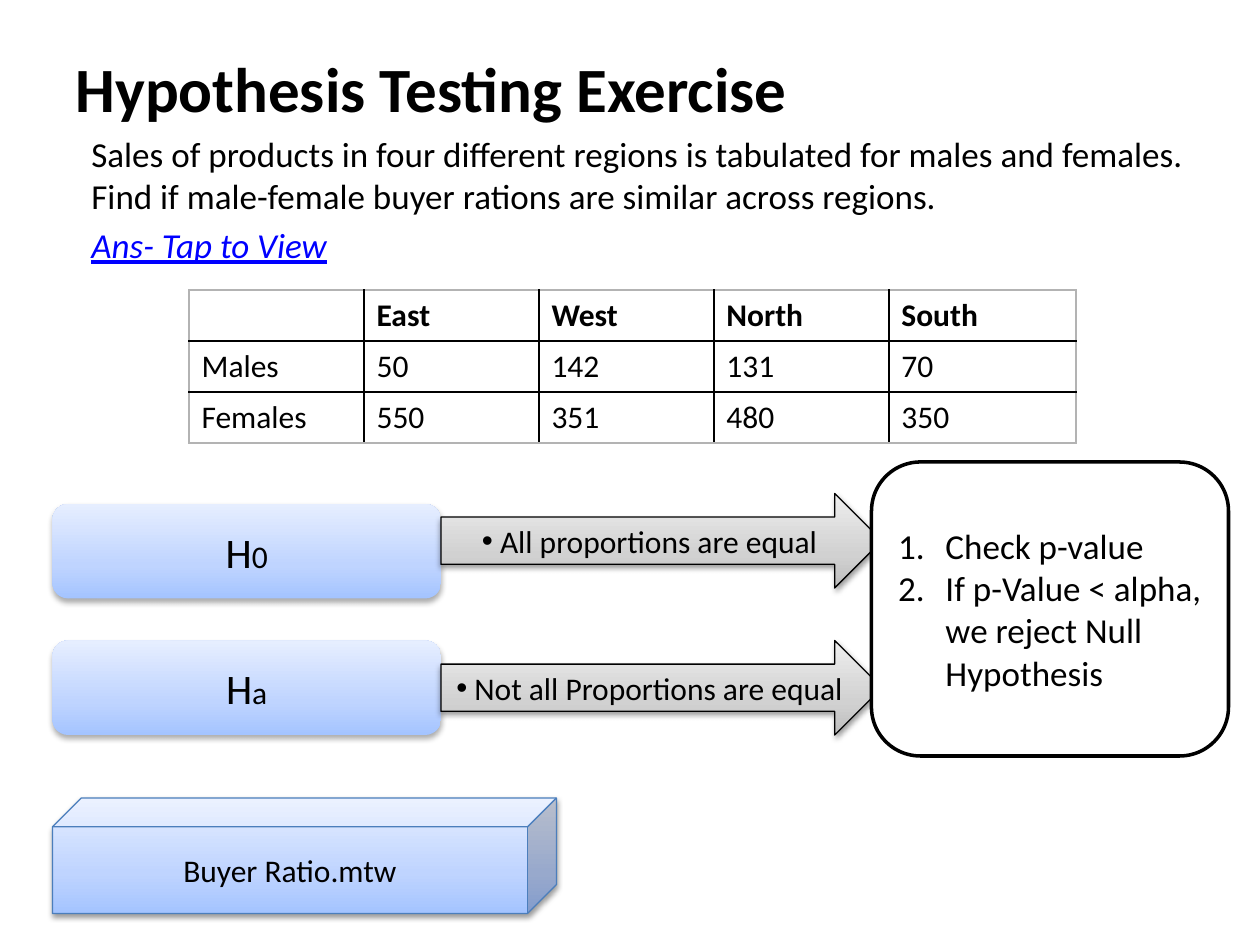
from dataclasses import dataclass

from lxml import etree
from pptx import Presentation
from pptx import util as u
from pptx.dml import color
from pptx.enum import shapes, text
from pptx.oxml import ns

KIND = shapes.MSO_SHAPE
ALIGN = text.PP_ALIGN
ANCHOR = text.MSO_ANCHOR


@dataclass(frozen=True)
class Theme:
    """Colours, type sizes and effects of the slide."""
    font: str = "Calibri"
    ink: str = "000000"
    paper: str = "FFFFFF"
    link: str = "0000FF"
    edge: str = "4B7EBC"
    frame: str = "B3B3B3"
    blue: tuple = ((0, "A4C4FF"), (35, "BFD4FF"), (100, "E6EEFF"))
    grey: tuple = ((0, "BDBDBD"), (35, "D1D1D1"), (100, "EEEEEE"))
    soft: tuple = (32, 3.5, 2.2)
    firm: tuple = (38, 3.1, 1.6)
    title: int = 36
    symbol: int = 24
    body: int = 20
    label: int = 18
    indent: int = 27


def rgb(value):
    """Turn a hex string into a colour."""
    return color.RGBColor.from_string(value)


def child(parent, tag, **values):
    """Append a DrawingML element with attributes."""
    node = etree.SubElement(parent, ns.qn("a:" + tag))
    for name, value in values.items():
        node.set(name, str(value))
    return node


class SlideBuilder:
    """Holds the style and the current slide."""

    def __init__(self, deck, theme):
        """Start a title-and-content slide."""
        self.theme = theme
        self.slide = deck.slides.add_slide(deck.slide_layouts[1])

    def fill_text(self, frame, paragraphs, anchor=ANCHOR.MIDDLE, bullet=None, **layout):
        """Fill a frame; each paragraph is a list of (text, format) spans."""
        frame.word_wrap = True
        frame.auto_size = text.MSO_AUTO_SIZE.NONE
        frame.vertical_anchor = anchor
        for index, spans in enumerate(paragraphs):
            para = frame.paragraphs[0] if index == 0 else frame.add_paragraph()
            for name, value in layout.items():
                setattr(para, name, value)
            for words, values in spans:
                span = para.add_run()
                span.text = words
                look = {"name": self.theme.font, "size": self.theme.label, "color": self.theme.ink}
                self.style(span.font, {**look, **values})
            if bullet:
                self.mark(para, bullet)

    def style(self, font, values):
        """Apply format values to a font."""
        for name, value in values.items():
            if name == "color":
                font.color.rgb = rgb(value)
            else:
                setattr(font, name, u.Pt(value) if name == "size" else value)

    def mark(self, para, bullet):
        """Set a paragraph's list marker and indent."""
        props = para._p.get_or_add_pPr()
        hang = 0 if bullet == "dot" else u.Pt(self.theme.indent)
        props.set("marL", str(hang))
        props.set("indent", str(-hang if bullet == "number" else 0))
        if bullet == "dot":
            child(props, "buFont", typeface="Arial")
            child(props, "buChar", char="•")
        elif bullet == "number":
            child(props, "buAutoNum", type="arabicPeriod")
        else:
            child(props, "buNone")

    def placeholder(self, index, place, paragraphs, **layout):
        """Move and fill a template placeholder."""
        box = self.slide.placeholders[index]
        box.left, box.top, box.width, box.height = map(u.Pt, place)
        self.fill_text(box.text_frame, paragraphs, **layout)

    def shape(self, kind, place, paragraphs, fill, line=None, width=0.75, shadow=None, **layout):
        """Add a preset shape with text."""
        box = self.slide.shapes.add_shape(kind, *map(u.Pt, place))
        box.shadow.inherit = False
        if isinstance(fill, str):
            box.fill.solid()
            box.fill.fore_color.rgb = rgb(fill)
        else:
            self.gradient(box, fill)
        if line:
            box.line.color.rgb = rgb(line)
            box.line.width = u.Pt(width)
        else:
            box.line.fill.background()
        if shadow:
            self.shade(box, *shadow)
        self.fill_text(box.text_frame, paragraphs, **layout)

    def gradient(self, box, stops):
        """Fill a shape with colour stops running upwards."""
        box.fill.gradient()
        box.fill.gradient_angle = 90
        stop_list = box._element.spPr.find(".//" + ns.qn("a:gsLst"))
        for old in list(stop_list):
            stop_list.remove(old)
        for percent, value in stops:
            child(child(stop_list, "gs", pos=percent * 1000), "srgbClr", val=value)

    def shade(self, box, opacity, blur, distance):
        """Give a shape a shadow falling downwards."""
        effects = box._element.spPr.find(ns.qn("a:effectLst"))
        shadow = child(effects, "outerShdw", blurRad=u.Pt(blur), dist=u.Pt(distance),
                       dir=5400000, rotWithShape=0)
        child(child(shadow, "srgbClr", val=self.theme.ink), "alpha", val=opacity * 1000)

    def table(self, place, rows, widths):
        """Add a ruled table with a bold heading row."""
        grid = self.slide.shapes.add_table(len(rows), len(widths), *map(u.Pt, place)).table
        grid.first_row = grid.horz_banding = False
        for column, width in zip(grid.columns, widths):
            column.width = u.Pt(width)
        last_row, last_column = len(rows) - 1, len(widths) - 1
        for r, values in enumerate(rows):
            grid.rows[r].height = u.Pt(place[3] / len(rows))
            for c, value in enumerate(values):
                cell = grid.cell(r, c)
                self.rule(cell, {"lnL": c == 0, "lnR": c == last_column,
                                 "lnT": r == 0, "lnB": r == last_row})
                cell.fill.background()
                cell.vertical_anchor = ANCHOR.TOP
                if value:
                    span = cell.text_frame.paragraphs[0].add_run()
                    span.text = value
                    self.style(span.font, {"name": self.theme.font, "size": self.theme.label,
                                           "color": self.theme.ink, "bold": r == 0})

    def rule(self, cell, sides):
        """Draw cell borders; sides maps each edge to whether it is outer."""
        props = cell._tc.get_or_add_tcPr()
        for tag, outer in sides.items():
            fill = child(child(props, tag, w=u.Pt(1)), "solidFill")
            child(fill, "srgbClr", val=self.theme.frame if outer else self.theme.ink)


def main():
    """Build the hypothesis testing slide."""
    theme = Theme()
    deck = Presentation()
    deck.slide_width, deck.slide_height = u.Pt(720), u.Pt(540)
    page = SlideBuilder(deck, theme)

    page.placeholder(0, (36, 21.6, 648, 56),
                     [[("Hypothesis Testing Exercise", {"size": theme.title, "bold": True})]],
                     alignment=ALIGN.LEFT)
    question = ("Sales of products in four different regions is tabulated for males and females. "
                "Find if male-female buyer rations are similar across regions.")
    answer = {"size": theme.body, "color": theme.link, "italic": True, "underline": True}
    page.placeholder(1, (18, 72, 690, 450),
                     [[(question, {"size": theme.body})], [("Ans- Tap to View", answer)]],
                     anchor=ANCHOR.TOP, bullet="none", space_before=u.Pt(4))

    page.table((108, 165.6, 507, 87.6),
               [("", "East", "West", "North", "South"),
                ("Males", "50", "142", "131", "70"),
                ("Females", "550", "351", "480", "350")],
               [100] * 4 + [107])

    hypotheses = [("0", 288, 282, " All proportions are equal"),
                  ("a", 366, 366, " Not all Proportions are equal")]
    for suffix, top, _, _ in hypotheses:
        page.shape(KIND.ROUNDED_RECTANGLE, (30, top, 222, 54),
                   [[("H", {"size": theme.symbol}), (suffix, {})]],
                   theme.blue, shadow=theme.soft, alignment=ALIGN.CENTER)
    for _, _, top, claim in hypotheses:
        page.shape(KIND.RIGHT_ARROW, (252, top, 252, 54), [[(claim, {})]], theme.grey,
                   line=theme.ink, shadow=theme.firm, bullet="dot", alignment=ALIGN.CENTER)

    steps = ["Check p-value", "If p-Value < alpha, we reject Null Hypothesis"]
    page.shape(KIND.ROUNDED_RECTANGLE, (498, 264, 204, 168),
               [[(step, {"size": theme.body})] for step in steps], theme.paper,
               line=theme.ink, width=2, bullet="number", alignment=ALIGN.LEFT)
    page.shape(KIND.CUBE, (30, 456, 288, 66), [[("Buyer Ratio.mtw", {})]], theme.blue,
               line=theme.edge, shadow=theme.firm, alignment=ALIGN.CENTER)

    deck.save("out.pptx")


main()
